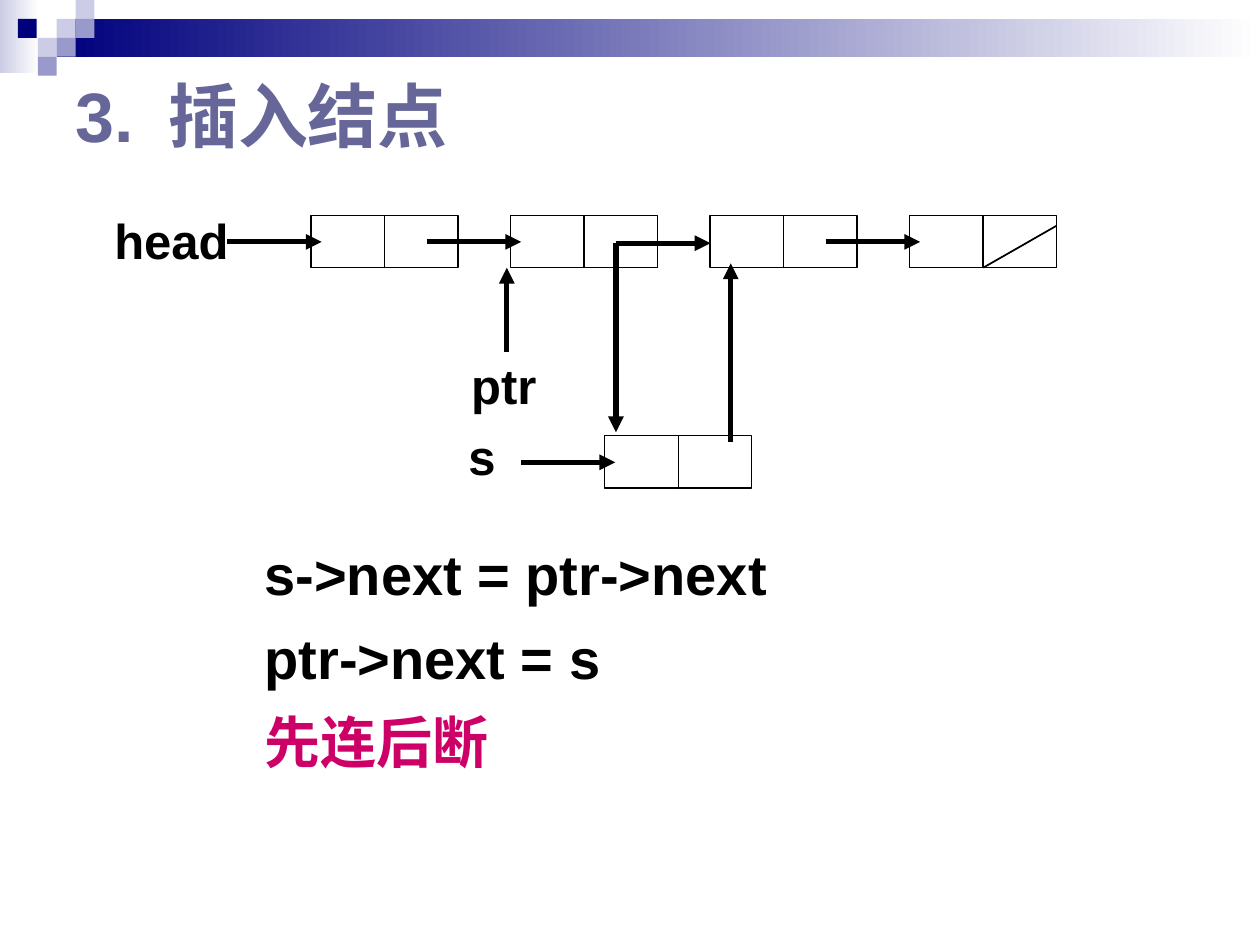
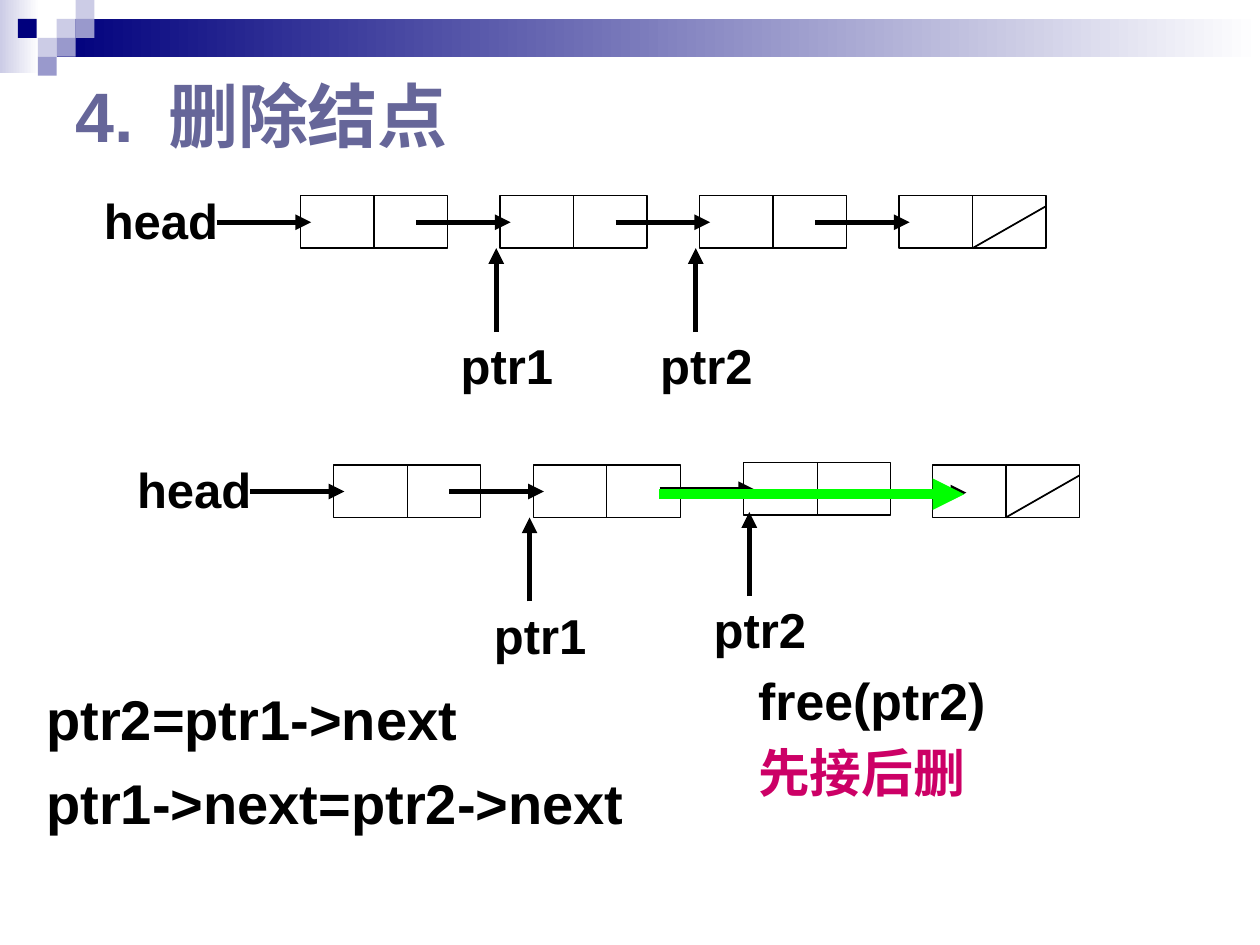
from pptx import Presentation
from pptx.dml.color import RGBColor
from pptx.enum.shapes import MSO_CONNECTOR, MSO_SHAPE
from pptx.enum.text import MSO_ANCHOR, PP_ALIGN
from pptx.oxml.ns import qn
from pptx.util import Pt
from lxml.etree import SubElement

BLACK = RGBColor(0, 0, 0)
WHITE = RGBColor(255, 255, 255)
NAVY = RGBColor(0, 0, 0x7D)
PALE = RGBColor(0xCC, 0xCC, 0xE6)
LILAC = RGBColor(0x99, 0x99, 0xCC)
SLATE = RGBColor(0x66, 0x66, 0x99)
PINK = RGBColor(0xCC, 0, 0x66)
GREEN = RGBColor(0, 255, 0)

BANDS = [(0, 0, 22.5, 42, PALE), (32.4, 10.8, 687.6, 21.6, NAVY)]
TILES = [(32.4, 10.8, PALE), (43.2, 0, PALE), (43.2, 10.8, LILAC),
         (21.6, 21.6, PALE), (10.2, 10.8, NAVY), (32.4, 21.6, LILAC),
         (21.6, 32.4, LILAC)]
TILE = 10.8
CELL, TALL, STEP = 42, 30, 114
BACK, REACH, MID = 48, 54, 15.2

SLIDES = [
    {
        "title": "3.\t插入结点",
        "chains": [
            {"nodes": [(177.8 + STEP * i, 123) for i in range(4)],
             "links": (0, 1, 3), "label": ("head", -119.5, -6.5), "slash": True},
            {"nodes": [(345.6, 249)], "links": (0,),
             "label": ("s", -85, -8.6), "slash": False},
        ],
        "marks": [("ptr", 291.8, 123)],
        "arrows": [(352, 139, 406, 139, BLACK, 3),
                   (417.6, 252.6, 417.6, 150.5, BLACK, 3),
                   (352, 139, 352, 247, BLACK, 3)],
        "codes": [((144, 301.7, 372, 162), 32, 1,
                   [("s->next = ptr->next", BLACK), ("ptr->next = s", BLACK),
                    ("先连后断", PINK)])],
    },
    {
        "title": "4.\t删除结点",
        "chains": [
            {"nodes": [(171.8 + STEP * i, 111.8) for i in range(4)],
             "links": (0, 1, 2, 3), "label": ("head", -119.5, -6.5), "slash": True},
            {"nodes": [(190.8, 265.7), (304.8, 265.7), (425, 264.4), (532.8, 265.7)],
             "links": (0, 1, 2), "label": ("head", -119.5, -6.5), "slash": True},
        ],
        "marks": [("ptr1", 285.8, 111.8), ("ptr2", 399.8, 111.8),
                  ("ptr1", 304.8, 265.7), ("ptr2", 430.4, 262.6)],
        "arrows": [(498.2, 281.5, 552.2, 281.5, BLACK, 3),
                   (376.8, 282.4, 551, 282.4, GREEN, 6)],
        "codes": [((19.4, 384.5, 387, 96), 32, 1,
                   [("ptr2=ptr1->next", BLACK), ("ptr1->next=ptr2->next", BLACK)]),
                  ((426.2, 379.4, 294, 90), 29.6, 0.9,
                   [("free(ptr2)", BLACK), ("先接后删", PINK)])],
    },
]


def put(item, look):
    for key, value in look.items():
        setattr(item, key, value)


def pts(*nums):
    return [Pt(num) for num in nums]


def block(slide, x, y, wide, tall):
    shape = slide.shapes.add_shape(MSO_SHAPE.RECTANGLE, *pts(x, y, wide, tall))
    shape.shadow.inherit = False
    return shape


def line(slide, ends, color=BLACK, width=3, head=True):
    rule = slide.shapes.add_connector(MSO_CONNECTOR.STRAIGHT, *pts(*ends))
    rule.line.color.rgb = color
    rule.line.width = Pt(width)
    if head:
        SubElement(rule.line._get_or_add_ln(), qn("a:tailEnd"), type="triangle")
    SubElement(rule._element.spPr, qn("a:effectLst"))


def write(slide, area, rows, size, frame={}, para={}, gap=0, tab=None):
    body = slide.shapes.add_textbox(*pts(*area)).text_frame
    put(body, {"word_wrap": True, **frame})
    for i, (words, color) in enumerate(rows):
        part = body.add_paragraph() if i else body.paragraphs[0]
        if tab:
            tabs = SubElement(part._p.get_or_add_pPr(), qn("a:tabLst"))
            SubElement(tabs, qn("a:tab"), pos=str(Pt(tab)), algn="l")
        put(part, para)
        if i:
            part.space_before = Pt(gap)
        run = part.add_run()
        run.text = words
        put(run.font, {"name": "Arial", "size": Pt(size), "bold": True})
        run.font.color.rgb = color


def label(slide, words, x, y):
    write(slide, (x, y, 80, 41), [(words, BLACK)], 28, {"word_wrap": False})


def trim(slide):
    for *area, color in BANDS:
        band = block(slide, *area)
        band.line.fill.background()
        band.fill.gradient()
        band.fill.gradient_angle = 0
        for stop, tint in zip(band.fill.gradient_stops, (color, WHITE)):
            stop.color.rgb = tint
    for x, y, color in TILES:
        tile = block(slide, x, y, TILE, TILE)
        tile.line.fill.background()
        tile.fill.solid()
        tile.fill.fore_color.rgb = color


def chain(slide, nodes, links, name, slash):
    for x, y in nodes:
        for side in range(2):
            cell = block(slide, x + side * CELL, y, CELL, TALL)
            cell.fill.background()
            cell.line.color.rgb = BLACK
            cell.line.width = Pt(0.75)
    for i in links:
        x, y = nodes[i]
        line(slide, (x - BACK, y + MID, x - BACK + REACH, y + MID))
    words, dx, dy = name
    label(slide, words, nodes[0][0] + dx, nodes[0][1] + dy)
    if slash:
        x, y = nodes[-1]
        line(slide, (x + CELL, y + TALL, x + 2 * CELL, y + 6), width=1, head=False)


def mark(slide, words, x, y):
    line(slide, (x - 2.2, y + 78, x - 2.2, y + TALL))
    label(slide, words, x - 29.6, y + 76.5)


def main():
    deck = Presentation()
    put(deck, {"slide_width": Pt(720), "slide_height": Pt(540)})
    for page in SLIDES:
        slide = deck.slides.add_slide(deck.slide_layouts[6])
        trim(slide)
        write(slide, (36, 36, 648, 58.3), [(page["title"], SLATE)], 40,
              {"vertical_anchor": MSO_ANCHOR.MIDDLE}, tab=53)
        for row in page["chains"]:
            chain(slide, row["nodes"], row["links"], row["label"], row["slash"])
        for spot in page["marks"]:
            mark(slide, *spot)
        for *ends, color, width in page["arrows"]:
            line(slide, ends, color, width)
        for area, size, pitch, rows in page["codes"]:
            write(slide, area, rows, size, {"margin_top": Pt(6.5)},
                  {"alignment": PP_ALIGN.JUSTIFY, "line_spacing": pitch}, 9.6)
    deck.save("out.pptx")


if __name__ == "__main__":
    main()
